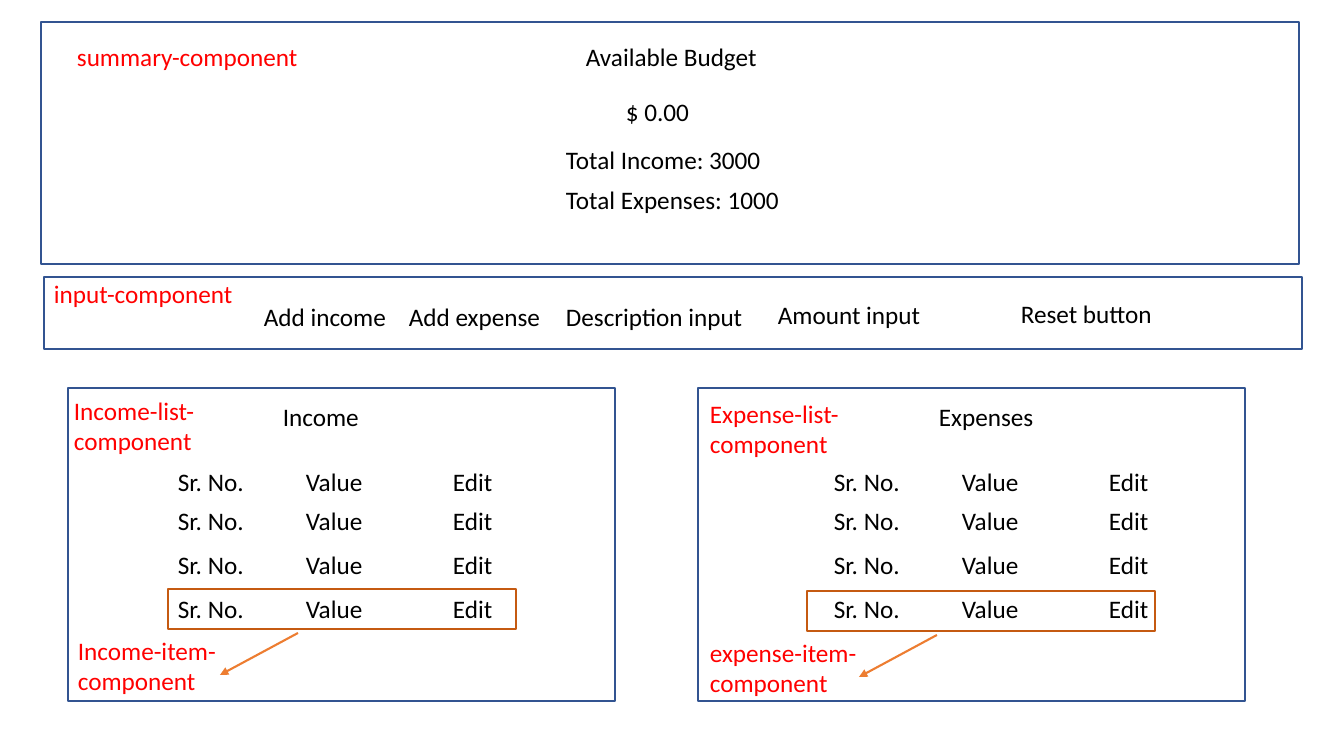
from lxml import etree
from pptx import Presentation
from pptx.dml.color import RGBColor
from pptx.enum.shapes import MSO_CONNECTOR, MSO_SHAPE
from pptx.enum.text import MSO_AUTO_SIZE
from pptx.oxml.ns import qn
from pptx.util import Pt

EMU_PER_PIXEL = 914400 / 100.8
RECTANGLE = MSO_SHAPE.RECTANGLE
STRAIGHT = MSO_CONNECTOR.STRAIGHT
FIT_SHAPE = MSO_AUTO_SIZE.SHAPE_TO_FIT_TEXT
COLORS = {"text": "000000", "label": "FF0000", "frame": "325491",
          "item": "C55A11", "arrow": "ED7D31"}
LINE_HEIGHT = 40
LABEL_WIDTH = 253
ROW_WIDTH = 348
ROW_TOPS = (73, 112, 156, 200)
ROW_TABS = (128, 275)


def emu(pixels):
    """Turn pixels into EMU."""
    return round(pixels * EMU_PER_PIXEL)


def add_text(slide, text, left, top, width, height=LINE_HEIGHT, color="text", tabs=()):
    """Add a wrapped text box with optional tab stops."""
    shape = slide.shapes.add_textbox(*map(emu, (left, top, width, height)))
    frame = shape.text_frame
    frame.word_wrap = True
    frame.auto_size = FIT_SHAPE
    paragraph = frame.paragraphs[0]
    run = paragraph.add_run()
    run.text = text
    run.font.name = "Calibri"
    run.font.size = Pt(18)
    run.font.color.rgb = RGBColor.from_string(COLORS[color])
    if tabs:
        properties = paragraph._p.get_or_add_pPr()
        tab_list = etree.SubElement(properties, qn("a:tabLst"))
        for position in tabs:
            etree.SubElement(tab_list, qn("a:tab"), pos=str(emu(position)), algn="l")


def add_frame(slide, box, color="frame"):
    """Outline a box without filling it."""
    shape = slide.shapes.add_shape(RECTANGLE, *map(emu, box))
    shape.shadow.inherit = False
    shape.fill.background()
    shape.line.color.rgb = RGBColor.from_string(COLORS[color])
    shape.line.width = Pt(1)


def add_arrow(slide, start, end):
    """Draw an arrow between two points."""
    connector = slide.shapes.add_connector(STRAIGHT, *map(emu, (*start, *end)))
    connector.line.color.rgb = RGBColor.from_string(COLORS["arrow"])
    connector.line.width = Pt(1.5)
    etree.SubElement(connector.line._get_or_add_ln(), qn("a:tailEnd"), type="triangle")
    etree.SubElement(connector._element.spPr, qn("a:effectLst"))


def add_summary(slide, box):
    """Build the budget summary."""
    left, top = box[:2]
    add_frame(slide, box)
    add_text(slide, "summary-component", left + 26, top + 14, LABEL_WIDTH, color="label")
    for text, x, y, width in (
        ("Available Budget", 535, 14, 192),
        ("$ 0.00", 575, 69, 192),
        ("Total Income: 3000", 515, 117, 380),
        ("Total Expenses: 1000", 515, 157, 310),
    ):
        add_text(slide, text, left + x, top + y, width)


def add_input_bar(slide, box):
    """Build the bar of inputs and buttons."""
    left, top = box[:2]
    add_frame(slide, box)
    add_text(slide, "input-component", left, top - 4, LABEL_WIDTH, color="label")
    for text, x, y, width in (
        ("Add income", 210, 19, 157),
        ("Add expense", 355, 19, 157),
        ("Description input", 512, 19, 231),
        ("Amount input", 724, 17, 231),
        ("Reset button", 967, 16, 157),
    ):
        add_text(slide, text, left + x, top + y, width)


def add_list(slide, box, heading, list_label, item_label, rows_left, item_offset):
    """Build a list panel with labels at (text, x, y) and its last row marked."""
    left, top = box[:2]
    add_frame(slide, box)
    add_text(slide, heading, left + rows_left + 105, top + 8, 192)
    for row_top in ROW_TOPS:
        add_text(slide, "Sr. No.\tValue\tEdit", left + rows_left, top + row_top,
                 ROW_WIDTH, tabs=ROW_TABS)
    for text, x, y in (list_label, item_label):
        add_text(slide, text, left + x, top + y, LABEL_WIDTH, 71, color="label")
    item_left, item_top = left + item_offset[0], top + item_offset[1]
    add_frame(slide, (item_left, item_top, ROW_WIDTH, LINE_HEIGHT), "item")
    add_arrow(slide, (item_left + 130, item_top + 44), (item_left + 52, item_top + 86))


def main():
    """Build and save the slide."""
    presentation = Presentation()
    presentation.slide_width = emu(1344)
    presentation.slide_height = emu(756)
    slide = presentation.slides.add_slide(presentation.slide_layouts[6])
    add_summary(slide, (41, 22, 1258, 242))
    add_input_bar(slide, (44, 277, 1258, 72))
    add_list(slide, (68, 388, 547, 313), "Income",
             ("Income-list-component", -4, 2), ("Income-item-component", 0, 242),
             100, (100, 201))
    add_list(slide, (698, 388, 547, 313), "Expenses",
             ("Expense-list-component", 2, 5), ("expense-item-component", 2, 244),
             126, (109, 203))
    presentation.save("out.pptx")


main()
